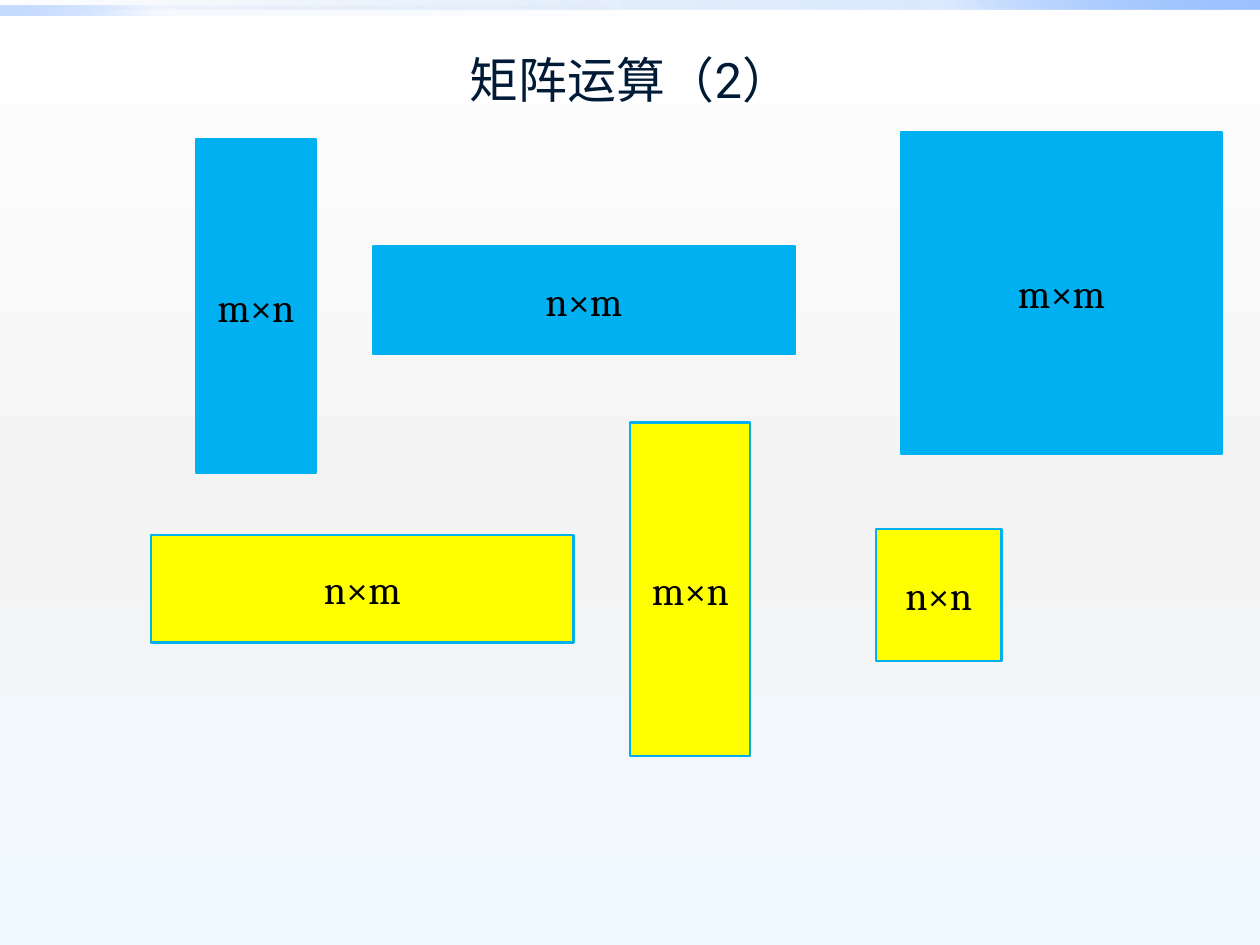
from pptx import Presentation
from pptx.dml.color import RGBColor
from pptx.enum.shapes import MSO_SHAPE as Shape
from pptx.enum.text import MSO_ANCHOR as Anchor, PP_ALIGN as Align
from pptx.oxml.ns import qn
from pptx.util import Inches, Pt
from lxml.etree import SubElement

COLORS = {
    "title": "001B36", "text": "000000", "blue": "00B0F0", "yellow": "FFFF00",
    "white": "FFFFFF", "gray": "F4F4F4", "ice": "EEF9FF",
    "deep": "0058B7", "mid": "4F95FF", "pale": "9EC2FF",
}
WIDE, HIGH = 15.75, 11.81
TALL = (1.5, 4.17)
FLAT = (5.28, 1.34)


def rgb(name):
    return RGBColor.from_string(COLORS[name])


def blend(fill, owner, stops, angle):
    """Fill with (position, color, opacity) stops, all in percent; angle is clockwise."""
    fill.gradient()
    grad = next(owner.element.iter(qn("a:gradFill")))
    items = grad.find(qn("a:gsLst"))
    items.clear()
    for pos, name, alpha in stops:
        stop = SubElement(items, qn("a:gs"), pos=str(pos * 1000))
        color = SubElement(stop, qn("a:srgbClr"), val=COLORS[name])
        if alpha < 100:
            SubElement(color, qn("a:alpha"), val=str(alpha * 1000))
    grad.find(qn("a:lin")).set("ang", str(angle * 60000))


def write(shape, text, font, size, color):
    frame = shape.text_frame
    frame.word_wrap = True
    frame.vertical_anchor = Anchor.MIDDLE
    para = frame.paragraphs[0]
    para.text = text
    para.alignment = Align.CENTER
    para.font.name = font
    para.font.size = Pt(size)
    para.font.color.rgb = rgb(color)


def add_box(slide, left, top, width, height):
    box = slide.shapes.add_shape(
        Shape.RECTANGLE, Inches(left), Inches(top), Inches(width), Inches(height))
    box.shadow.inherit = False
    return box


def add_bar(slide, place, alphas, angle):
    bar = add_box(slide, *place)
    bar.line.fill.background()
    blend(bar.fill, bar, zip((0, 75, 100), ("deep", "mid", "pale"), alphas), angle)


def add_title(slide, text):
    box = slide.shapes.add_textbox(
        Inches(0.79), Inches(0), Inches(14.18), Inches(1.97))
    write(box, text, "Roboto", 44, "title")


def add_matrix(slide, text, spot, size, color):
    box = add_box(slide, *spot, *size)
    box.fill.solid()
    box.fill.fore_color.rgb = rgb(color)
    box.line.color.rgb = rgb("blue")
    box.line.width = Pt(2)
    write(box, text, "Cambria", 36, "text")


def main():
    deck = Presentation()
    deck.slide_width, deck.slide_height = Inches(WIDE), Inches(HIGH)
    slide = deck.slides.add_slide(deck.slide_layouts[6])
    blend(slide.background.fill, slide,
          [(0, "white", 100), (55, "gray", 100), (100, "ice", 100)], 90)
    add_bar(slide, (0, 0, WIDE, 0.12), (0, 20, 100), 315)
    add_bar(slide, (0, 0.07, WIDE / 2, 0.12), (0, 5, 60), 135)
    add_title(slide, "矩阵运算（2）")
    for text, spot, size, color in (
        ("m×n", (7.88, 5.28), TALL, "yellow"),
        ("n×m", (1.89, 6.69), FLAT, "yellow"),
        ("m×m", (11.26, 1.65), (4.02, 4.02), "blue"),
        ("n×m", (4.66, 3.08), FLAT, "blue"),
        ("m×n", (2.45, 1.74), TALL, "blue"),
        ("n×n", (10.95, 6.61), (1.57, 1.65), "yellow"),
    ):
        add_matrix(slide, text, spot, size, color)
    deck.save("out.pptx")


if __name__ == "__main__":
    main()
